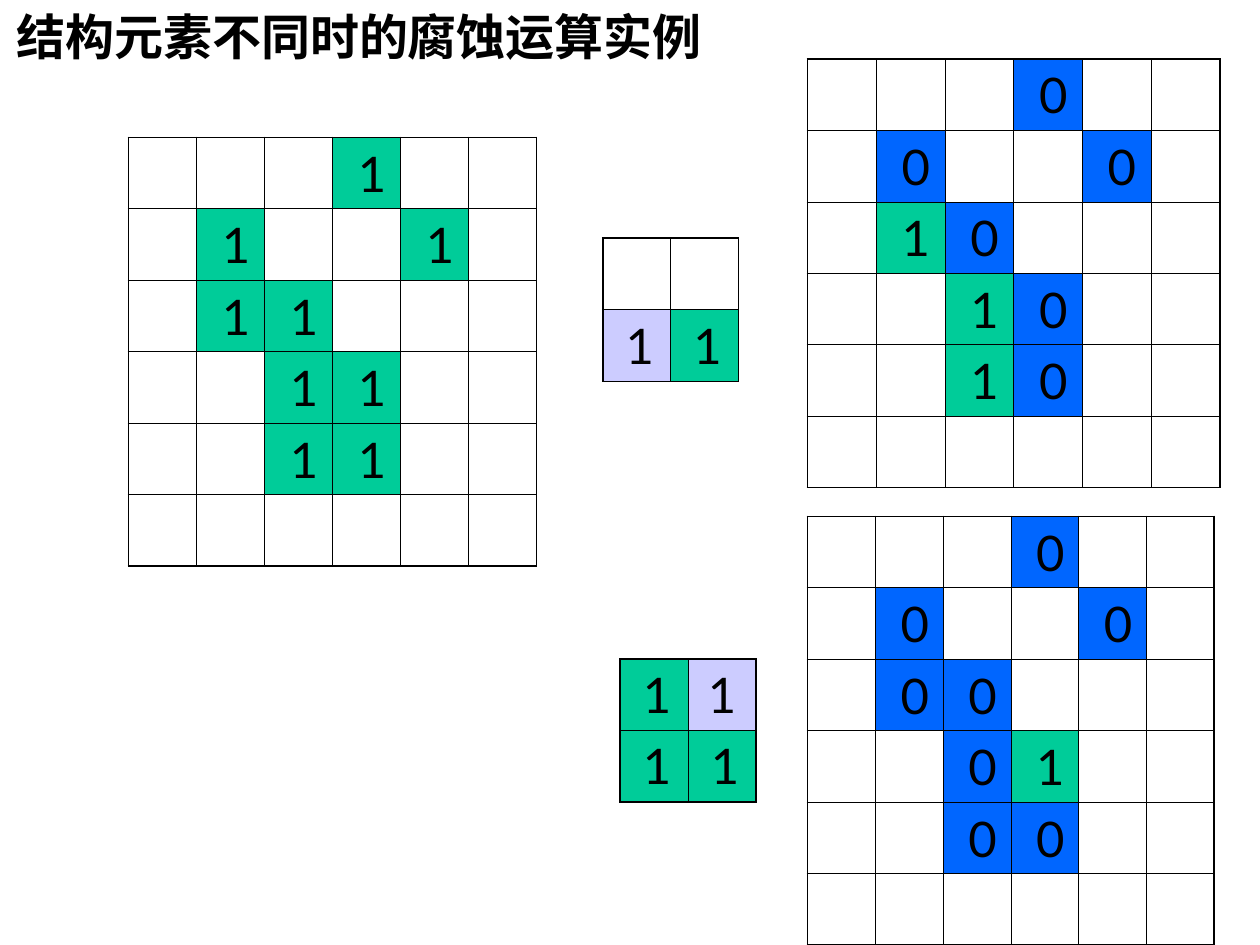
from lxml import etree
from pptx import Presentation
from pptx.dml.color import RGBColor
from pptx.enum.text import MSO_ANCHOR, MSO_AUTO_SIZE, PP_ALIGN
from pptx.oxml.ns import qn
from pptx.util import Cm, Pt

TOP, MIDDLE, BOTTOM = MSO_ANCHOR.TOP, MSO_ANCHOR.MIDDLE, MSO_ANCHOR.BOTTOM
LEFT, CENTER = PP_ALIGN.LEFT, PP_ALIGN.CENTER
TITLE_ONLY = 5

COLOURS = {"ink": "000000", "paper": "FFFFFF", "kept": "00CC99",
           "eroded": "0066FF", "origin": "CCCCFF"}
TITLE = "结构元素不同时的腐蚀运算实例"
TITLE_FONT = "Noto Sans CJK SC"
DIGIT_FONT = "Lato"

# Grid marks: 1 kept, 0 eroded, o origin (shown as 1), c centred origin, . empty
FILLS = {"1": "kept", "0": "eroded", "o": "origin", "c": "origin"}
IMAGE_STYLE = {"vertical_anchor": BOTTOM, "margin_left": Cm(0.51)}
ELEMENT_STYLE = {"vertical_anchor": TOP, "margin_left": Cm(0.46)}
CENTRED_STYLE = {"margin_left": Cm(0.2), "margin_right": Cm(0.2)}

# Left, top, width and height in centimetres, cell style, rows of marks
GRIDS = [
    (2.59, 2.77, 8.23, 8.64, IMAGE_STYLE,
     ["...1..", ".1..1.", ".11...", "..11..", "..11..", "......"]),
    (12.15, 4.8, 2.74, 2.89, ELEMENT_STYLE, ["..", "o1"]),
    (16.28, 1.19, 8.31, 8.64, IMAGE_STYLE,
     ["...0..", ".0..0.", ".10...", "..10..", "..10..", "......"]),
    (12.5, 13.29, 2.74, 2.88, ELEMENT_STYLE, ["1c", "11"]),
    (16.28, 10.41, 8.2, 8.64, IMAGE_STYLE,
     ["...0..", ".0..0.", ".00...", "..01..", "..00..", "......"]),
]
OUTER, INNER = Pt(1.08), Pt(0.45)


def set_all(target, values):
    for name, value in values.items():
        setattr(target, name, value)


def colour(name):
    return RGBColor.from_string(COLOURS[name])


def add_borders(cell, outer_sides):
    """Draw four cell borders, heavier on the table's outer sides."""
    properties = cell._tc.get_or_add_tcPr()
    for side in "LRTB":
        width = OUTER if side in outer_sides else INNER
        line = etree.SubElement(properties, qn(f"a:ln{side}"), w=str(int(width)))
        fill = etree.SubElement(line, qn("a:solidFill"))
        etree.SubElement(fill, qn("a:srgbClr"), val=COLOURS["ink"])


def write_mark(cell, mark, style):
    set_all(cell, {"margin_right": 0, "margin_top": Cm(0.12),
                   "margin_bottom": Cm(0.12), **style})
    if mark == "c":
        set_all(cell, CENTRED_STYLE)
    cell.fill.solid()
    cell.fill.fore_color.rgb = colour(FILLS[mark])
    para = cell.text_frame.paragraphs[0]
    para.alignment = CENTER if mark == "c" else LEFT
    span = para.add_run()
    span.text = "0" if mark == "0" else "1"
    set_all(span.font, {"name": DIGIT_FONT, "size": Pt(28), "bold": False})
    span.font.color.rgb = colour("ink")


def add_grid(page, left, top, width, height, style, rows):
    row_count, column_count = len(rows), len(rows[0])
    frame = page.shapes.add_table(row_count, column_count, Cm(left), Cm(top),
                                  Cm(width), Cm(height))
    table = frame.table
    set_all(table, {"first_row": False, "horz_banding": False})
    for row_index, marks in enumerate(rows):
        for column_index, mark in enumerate(marks):
            cell = table.cell(row_index, column_index)
            edges = {"L": column_index == 0, "R": column_index == column_count - 1,
                     "T": row_index == 0, "B": row_index == row_count - 1}
            add_borders(cell, [side for side, is_outer in edges.items() if is_outer])
            if mark in FILLS:
                write_mark(cell, mark, style)
            else:
                cell.fill.background()


def add_title(page):
    title = page.shapes.title
    set_all(title, {"left": Cm(0.08), "top": 0, "width": Cm(14.73), "height": Cm(1.45)})
    title.fill.solid()
    title.fill.fore_color.rgb = colour("paper")
    set_all(title.text_frame, {"word_wrap": False, "auto_size": MSO_AUTO_SIZE.NONE,
                               "vertical_anchor": MIDDLE})
    para = title.text_frame.paragraphs[0]
    para.alignment = LEFT
    span = para.add_run()
    span.text = TITLE
    set_all(span.font, {"name": TITLE_FONT, "size": Pt(28), "bold": True})
    span.font.color.rgb = colour("ink")
    east_asian = etree.Element(qn("a:ea"), typeface=TITLE_FONT)
    span.font._element.find(qn("a:latin")).addnext(east_asian)


def main():
    deck = Presentation()
    set_all(deck, {"slide_width": Cm(25.4), "slide_height": Cm(19.05)})
    page = deck.slides.add_slide(deck.slide_layouts[TITLE_ONLY])
    add_title(page)
    for grid in GRIDS:
        add_grid(page, *grid)
    deck.save("out.pptx")


if __name__ == "__main__":
    main()
